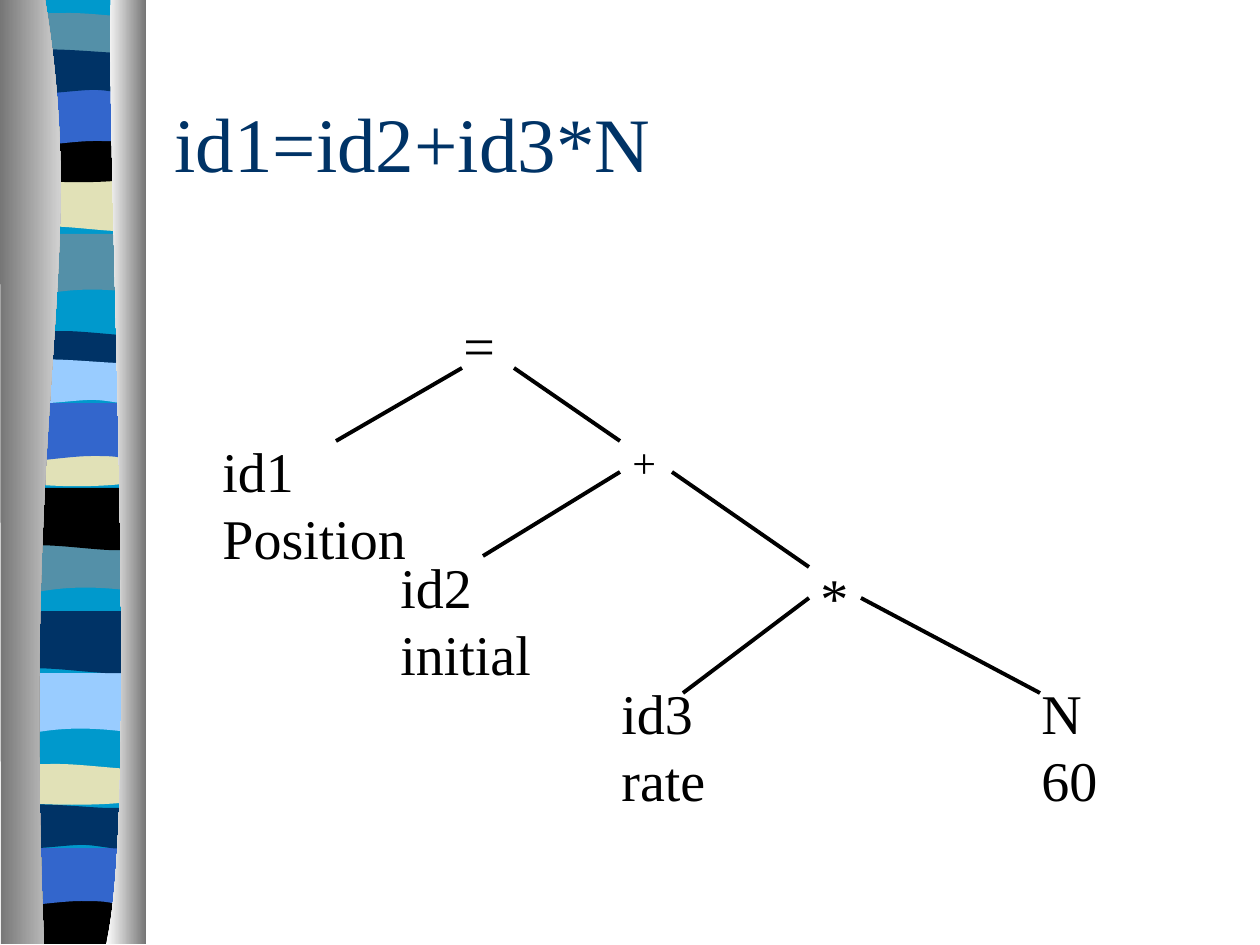
from dataclasses import dataclass

from lxml import etree
from pptx import Presentation
from pptx.dml.color import RGBColor
from pptx.enum.shapes import MSO_CONNECTOR
from pptx.enum.text import MSO_ANCHOR, MSO_AUTO_SIZE
from pptx.oxml.ns import qn
from pptx.util import Inches, Pt

STRAIGHT = MSO_CONNECTOR.STRAIGHT
TOP, MIDDLE = MSO_ANCHOR.TOP, MSO_ANCHOR.MIDDLE
FIXED, GROW = MSO_AUTO_SIZE.NONE, MSO_AUTO_SIZE.SHAPE_TO_FIT_TEXT
PX = Inches(10) / 1260


@dataclass(frozen=True)
class Theme:
    font: str = "Times New Roman"
    title_size: int = 44
    node_size: int = 32
    plus_size: int = 24
    line_width: float = 2.25
    ink: str = "000000"
    navy: str = "003366"
    sky: str = "0099CC"
    teal: str = "5490A8"
    sand: str = "E1E1B7"
    blue: str = "3366CC"
    pale: str = "99CCFF"
    gray: str = "767676"
    white: str = "FFFFFF"


THEME = Theme()

# Content: title, tree nodes (text, left, top, width, height, size), branches
TITLE = ("id1=id2+id3*N", 162, 63, 1071, 158)
NODES = [
    ("=", 451, 304, 84, 81, THEME.node_size),
    ("+", 620, 430, 84, 63, THEME.plus_size),
    ("N 60", 1029, 672, 84, 147, THEME.node_size),
    ("*", 808, 556, 84, 81, THEME.node_size),
    ("id1 Position", 210, 430, 210, 147, THEME.node_size),
    ("id2 initial", 388, 546, 158, 147, THEME.node_size),
    ("id3 rate", 609, 672, 116, 147, THEME.node_size),
]
BRANCHES = [
    (336, 441, 462, 368), (514, 368, 620, 441),
    (620, 472, 483, 556), (672, 472, 809, 567),
    (861, 598, 1040, 693), (809, 598, 683, 693),
]

# Outlines: a pair is a corner, six numbers are a cubic curve
OUTLINES = {
    "ripple": [(122, 0), (122, 59), (38, 48, 20, 68, 0, 59), (0, 0)],
    "swell": [(122, 0), (122, 59), (102, 69, 38, 52, 0, 59), (0, 0)],
    "lens": [(122, 5), (122, 37), (102, 42, 20, 42, 0, 37), (0, 5),
             (9, 0, 26, 0, 48, 0), (68, 0, 107, 5, 122, 5)],
    "bowl": [(122, 0), (122, 41), (102, 48, 20, 48, 0, 41), (0, 0),
             (76, 6, 97, 0, 122, 0)],
    "base": [(122, 0), (122, 47), (0, 47), (0, 0), (76, 6, 97, 0, 122, 0)],
    "arch": [(122, 0), (122, 59), (103, 53, 96, 53, 76, 53),
             (55, 53, 19, 59, 0, 59), (0, 0)],
    "flag": [(122, 8), (122, 45), (115, 53, 96, 45, 76, 45),
             (55, 45, 13, 53, 0, 45), (0, 8), (18, 0, 83, 8, 103, 8),
             (123, 8, 118, 8, 122, 8)],
    "ribbon": [(122, 0), (122, 941), (0, 941), (0, 0)],
    "left curtain": [(45, -1), (90, 272, 21, 373, 44, 944), (1, 944), (0, -1)],
    "right curtain": [(111, -1), (106, 158, 140, 814, 106, 944), (146, 944), (146, 0)],
}
BANDS = [
    ("ribbon", 18, -1, THEME.sky),
    ("ripple", 18, 234, THEME.teal), ("swell", 23, 169, THEME.sand),
    ("lens", 23, 13, THEME.teal), ("bowl", 18, 136, THEME.ink),
    ("arch", 18, 88, THEME.blue), ("flag", 18, 45, THEME.navy),
    ("ripple", 11, 532, THEME.teal), ("swell", 16, 488, THEME.ink),
    ("lens", 16, 331, THEME.navy), ("bowl", 16, 440, THEME.sand),
    ("arch", 16, 403, THEME.blue), ("flag", 16, 355, THEME.pale),
    ("ripple", 6, 673, THEME.pale), ("swell", 13, 611, THEME.navy),
    ("lens", 11, 764, THEME.sand), ("base", 11, 897, THEME.ink),
    ("arch", 5, 848, THEME.blue), ("flag", 6, 800, THEME.navy),
]
CURTAINS = [
    ("left curtain", (THEME.gray, THEME.white)),
    ("right curtain", (THEME.white, THEME.gray)),
]


def emu(value):
    return round(value * PX)


def color(code):
    return RGBColor.from_string(code)


def bend(shape, parts):
    """Merge each run of three straight segments that stands for a curve."""
    segments = iter(list(shape._element.iter(qn("a:lnTo"))))
    for part in parts:
        group = [next(segments) for _ in range(len(part) // 2)]
        if len(group) == 3:
            curve = etree.Element(qn("a:cubicBezTo"))
            group[0].addprevious(curve)
            for segment in group:
                curve.append(segment[0])
                segment.getparent().remove(segment)


def add_outline(group, name, left=0, top=0):
    start, *parts = OUTLINES[name]
    if parts[-1][-2:] != start:
        parts.append(start)
    points = [(emu(left + part[i]), emu(top + part[i + 1]))
              for part in [start, *parts] for i in range(0, len(part), 2)]
    builder = group.shapes.build_freeform(*points[0])
    builder.add_line_segments(points[1:], close=True)
    shape = builder.convert_to_shape()
    bend(shape, parts)
    shape.shadow.inherit = False
    shape.line.fill.background()
    return shape


def add_text(parent, text, bounds, size, tint, anchor=TOP, fit=GROW, space=0):
    box = parent.shapes.add_textbox(*map(emu, bounds))
    frame = box.text_frame
    para = frame.paragraphs[0]
    span = para.add_run()
    span.text = text
    formats = [
        (frame, {"word_wrap": True, "vertical_anchor": anchor, "auto_size": fit}),
        (para, {"space_before": Pt(space)}),
        (span.font, {"name": THEME.font, "size": Pt(size)}),
        (span.font.color, {"rgb": color(tint)}),
    ]
    for target, values in formats:
        for key, value in values.items():
            setattr(target, key, value)


def add_branch(group, ends):
    line = group.shapes.add_connector(STRAIGHT, *map(emu, ends))
    line.line.color.rgb = color(THEME.ink)
    line.line.width = Pt(THEME.line_width)
    etree.SubElement(line._element.spPr, qn("a:effectLst"))


def main():
    deck = Presentation()
    deck.slide_width, deck.slide_height = Inches(10), Inches(7.5)
    page = deck.slides.add_slide(deck.slide_layouts[6])

    # Striped ribbon between two shaded curtains
    border = page.shapes.add_group_shape()
    for name, left, top, tint in BANDS:
        band = add_outline(border, name, left, top)
        band.fill.solid()
        band.fill.fore_color.rgb = color(tint)
    for name, tints in CURTAINS:
        fill = add_outline(border, name).fill
        fill.gradient()
        fill.gradient_angle = 0
        for stop, tint in zip(fill.gradient_stops, tints):
            stop.color.rgb = color(tint)

    # Title
    add_text(page, TITLE[0], TITLE[1:], THEME.title_size, THEME.navy, MIDDLE, FIXED)

    # Syntax tree
    tree = page.shapes.add_group_shape()
    for text, *bounds, size in NODES:
        add_text(tree, text, bounds, size, THEME.ink, space=size * 5 / 8)
    for ends in BRANCHES:
        add_branch(tree, ends)

    deck.save("out.pptx")


if __name__ == "__main__":
    main()
